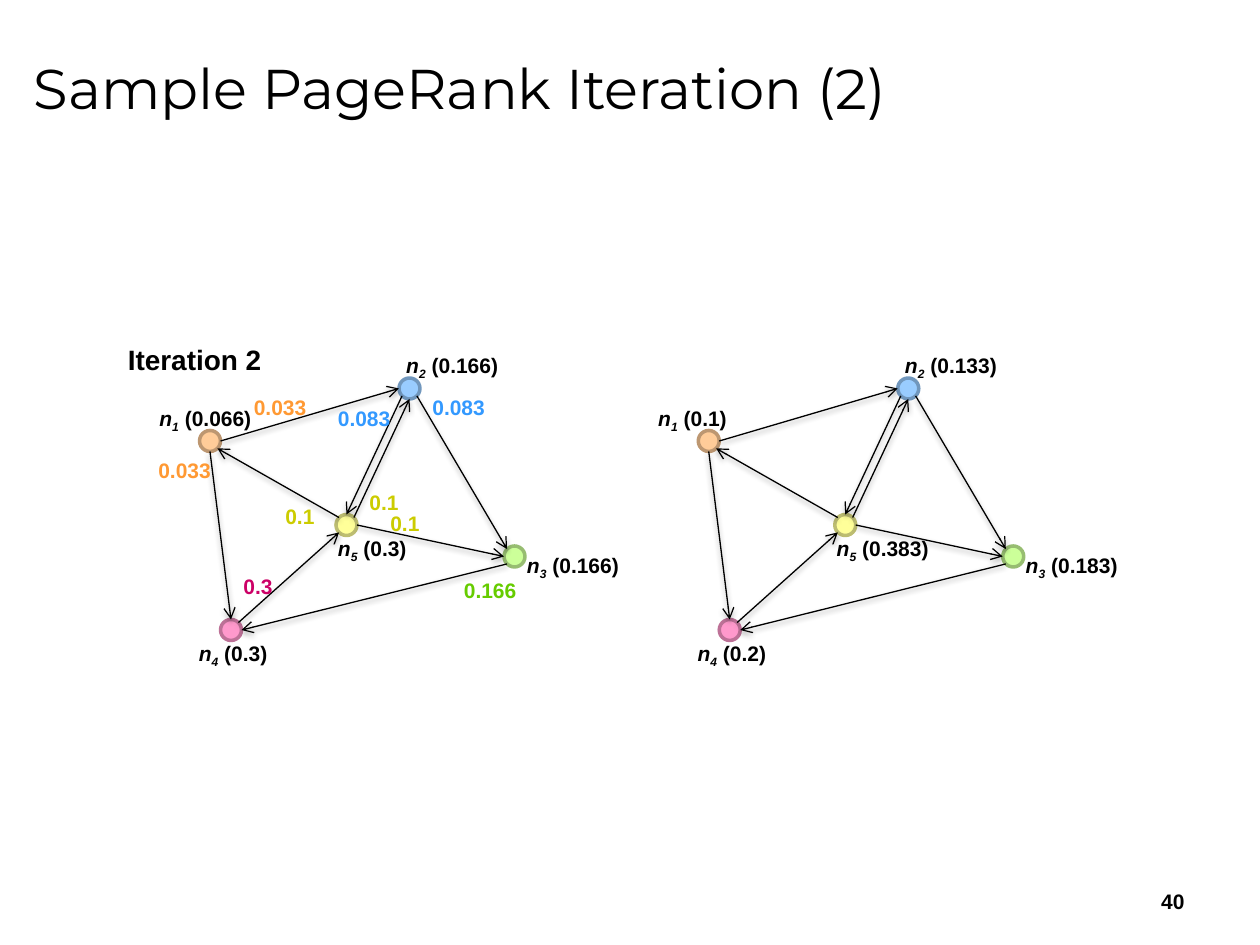
import math
from dataclasses import dataclass
from typing import Any

import lxml.etree
import pptx
import pptx.dml.color
import pptx.enum.shapes
import pptx.enum.text
import pptx.oxml
import pptx.oxml.ns
import pptx.util

COLS, ROWS = 120, 90
CELL = pptx.util.Inches(10) / COLS
SHIFT = 47.5
SITES = ("right", "low right", "low", "low left",
         "left", "top left", "top", "top right")


@dataclass(frozen=True)
class Theme:
    ink: str = "000000"
    face: str = "Arial"
    head_face: str = "Montserrat"
    head: float = 32
    sub: float = 16
    body: float = 12
    ring: float = 2
    line: float = 0.75
    orange: str = "FF9933"
    blue: str = "3399FF"
    pink: str = "CC0066"
    green: str = "66CC00"
    yellow: str = "CCCC00"


@dataclass(frozen=True)
class Node:
    col: float
    row: float
    fill: str
    ring: str
    tag_col: float
    tag_row: float


@dataclass(frozen=True)
class Edge:
    start: int
    leave: str
    end: int
    enter: str


@dataclass(frozen=True)
class Share:
    text: str
    col: float
    row: float
    tint: str


THEME = Theme()

NODES = {
    1: Node(20, 42, "FFCC99", "BD9771", 14, 38),
    2: Node(39, 37, "99CCFF", "7197BD", 37.5, 33),
    3: Node(49, 53, "CCFF99", "97BD71", 49, 52),
    4: Node(22, 60, "FF99CC", "BD7197", 17.75, 60.4),
    5: Node(33, 50, "FFFF99", "BDBD71", 31, 50.4),
}

EDGES = (
    Edge(1, "right", 2, "left"),
    Edge(5, "top left", 1, "low right"),
    Edge(1, "low", 4, "top"),
    Edge(4, "top right", 5, "low left"),
    Edge(5, "top right", 2, "low"),
    Edge(2, "low right", 3, "top left"),
    Edge(5, "right", 3, "left"),
    Edge(3, "low left", 4, "right"),
    Edge(2, "low left", 5, "top"),
)

SHARES = (
    Share("0.033", 23, 37, THEME.orange),
    Share("0.033", 13.9, 43, THEME.orange),
    Share("0.3", 22, 54, THEME.pink),
    Share("0.166", 43, 54.4, THEME.green),
    Share("0.083", 31, 38, THEME.blue),
    Share("0.083", 40, 37, THEME.blue),
    Share("0.1", 26, 47.4, THEME.yellow),
    Share("0.1", 36, 48, THEME.yellow),
    Share("0.1", 34, 46, THEME.yellow),
)

BEFORE = {1: "0.066", 2: "0.166", 3: "0.166", 4: "0.3", 5: "0.3"}
AFTER = {1: "0.1", 2: "0.133", 3: "0.183", 4: "0.2", 5: "0.383"}

SHADE = (
    f'<a:effectLst {pptx.oxml.ns.nsdecls("a")}>'
    '<a:outerShdw blurRad="39370" dist="20320" dir="5400000" rotWithShape="0">'
    '<a:srgbClr val="000000"><a:alpha val="38000"/></a:srgbClr>'
    '</a:outerShdw></a:effectLst>'
)


def grid(*cells: float) -> list[int]:
    return [round(cell * CELL) for cell in cells]


def color(code: str) -> pptx.dml.color.RGBColor:
    return pptx.dml.color.RGBColor.from_string(code)


def style(para: Any, size: float, tint: str = THEME.ink,
          face: str = THEME.face, bold: bool = True) -> None:
    para.font.name = face
    para.font.size = pptx.util.Pt(size)
    para.font.bold = bold
    para.font.color.rgb = color(tint)


def add_text(shapes: Any, text: str, col: float, row: float, wide: float,
             high: float = 3.6, size: float = THEME.body, tint: str = THEME.ink) -> Any:
    frame = shapes.add_textbox(*grid(col, row, wide, high)).text_frame
    frame.word_wrap = False
    frame.auto_size = pptx.enum.text.MSO_AUTO_SIZE.SHAPE_TO_FIT_TEXT
    para = frame.paragraphs[0]
    style(para, size, tint)
    if text:
        para.add_run().text = text
    return frame


def add_node(shapes: Any, node: Node, shift: float) -> None:
    dot = shapes.add_shape(pptx.enum.shapes.MSO_SHAPE.OVAL,
                           *grid(node.col - 1 + shift, node.row - 1, 2, 2))
    dot.shadow.inherit = False
    dot.fill.solid()
    dot.fill.fore_color.rgb = color(node.fill)
    dot.line.color.rgb = color(node.ring)
    dot.line.width = pptx.util.Pt(THEME.ring)


def rim(node: Node, site: str, shift: float) -> list[int]:
    turn = SITES.index(site) * math.pi / 4
    return grid(node.col + shift + math.cos(turn), node.row + math.sin(turn))


def add_edge(shapes: Any, edge: Edge, shift: float) -> None:
    link = shapes.add_connector(pptx.enum.shapes.MSO_CONNECTOR.STRAIGHT,
                                *rim(NODES[edge.start], edge.leave, shift),
                                *rim(NODES[edge.end], edge.enter, shift))
    link.line.color.rgb = color(THEME.ink)
    link.line.width = pptx.util.Pt(THEME.line)
    lxml.etree.SubElement(link.line._get_or_add_ln(),
                          pptx.oxml.ns.qn("a:tailEnd"), type="arrow")
    link._element.spPr.append(pptx.oxml.parse_xml(SHADE))


def add_tag(shapes: Any, key: int, rank: str, shift: float) -> None:
    node = NODES[key]
    parts = ("n", str(key), f" ({rank})")
    wide = 1.1 * len("".join(parts)) + 0.4
    para = add_text(shapes, "", node.tag_col + shift, node.tag_row, wide).paragraphs[0]
    name, index, value = (para.add_run() for _ in parts)
    for run, text in zip((name, index, value), parts):
        run.text = text
    name.font.italic = index.font.italic = True
    index._r.get_or_add_rPr().set("baseline", "-25000")


def add_graph(shapes: Any, ranks: dict[int, str], shift: float = 0) -> None:
    for node in NODES.values():
        add_node(shapes, node, shift)
    for edge in EDGES:
        add_edge(shapes, edge, shift)
    for key, rank in ranks.items():
        add_tag(shapes, key, rank, shift)


def main() -> None:
    deck = pptx.Presentation()
    deck.slide_width, deck.slide_height = grid(COLS, ROWS)
    slide = deck.slides.add_slide(deck.slide_layouts[5])
    shapes = slide.shapes

    title = shapes.title
    title.left, title.top, title.width, title.height = grid(2, 1.5, 114, 13.5)
    title.text_frame.text = "Sample PageRank Iteration (2)"
    title.text_frame.vertical_anchor = pptx.enum.text.MSO_ANCHOR.MIDDLE
    para = title.text_frame.paragraphs[0]
    para.alignment = pptx.enum.text.PP_ALIGN.LEFT
    style(para, THEME.head, face=THEME.head_face, bold=False)

    add_graph(shapes, BEFORE)
    for share in SHARES:
        add_text(shapes, share.text, share.col, share.row,
                 1.1 * len(share.text) + 2, tint=share.tint)
    add_graph(shapes.add_group_shape().shapes, AFTER, SHIFT)
    add_text(shapes, "Iteration 2", 11, 32, 15.4, 4.4, THEME.sub)

    page = add_text(shapes, "40", 86, 83.4, 28, 4.8)
    page.word_wrap = True
    page.auto_size = pptx.enum.text.MSO_AUTO_SIZE.NONE
    page.vertical_anchor = pptx.enum.text.MSO_ANCHOR.MIDDLE
    page.paragraphs[0].alignment = pptx.enum.text.PP_ALIGN.RIGHT

    deck.save("out.pptx")


if __name__ == "__main__":
    main()
